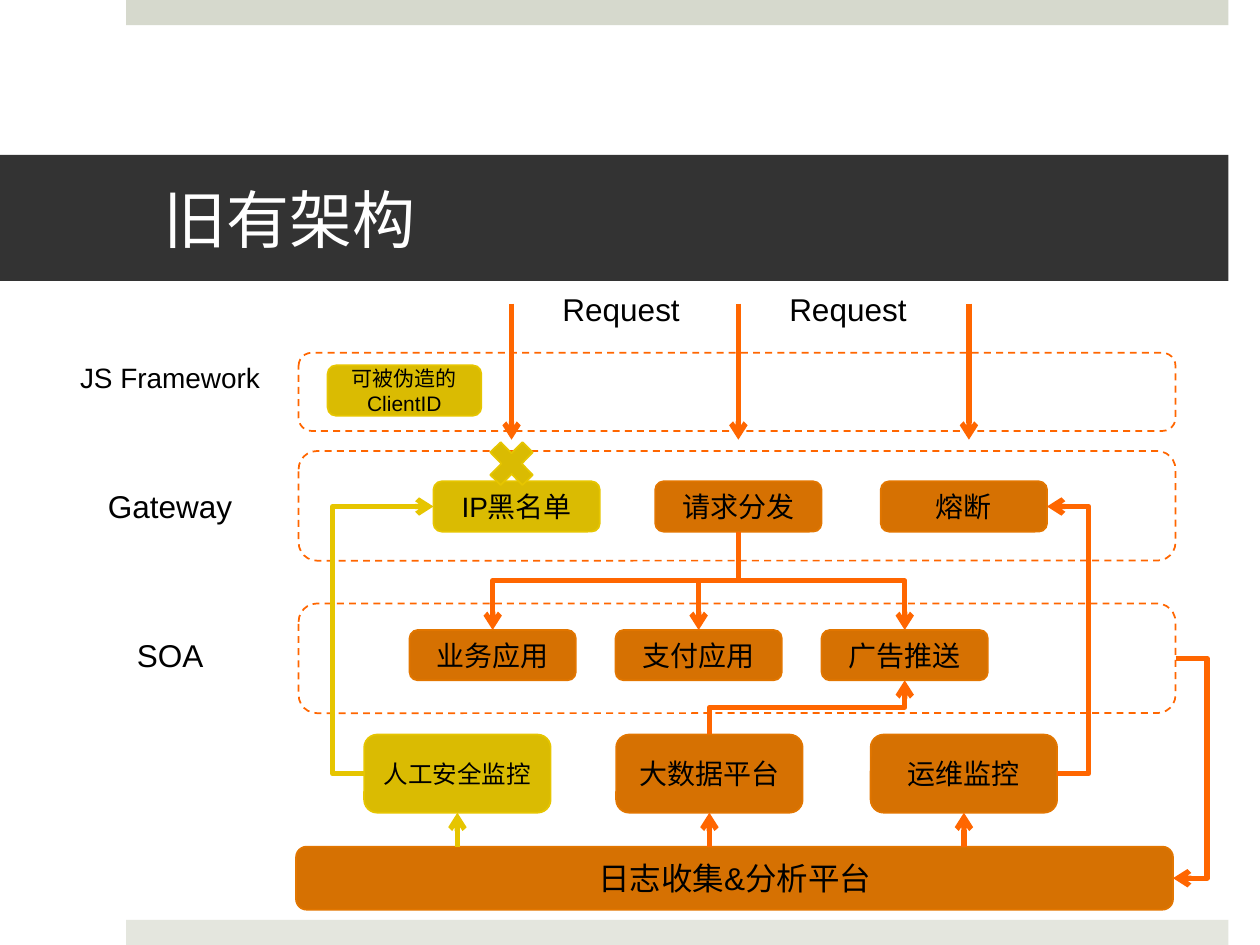
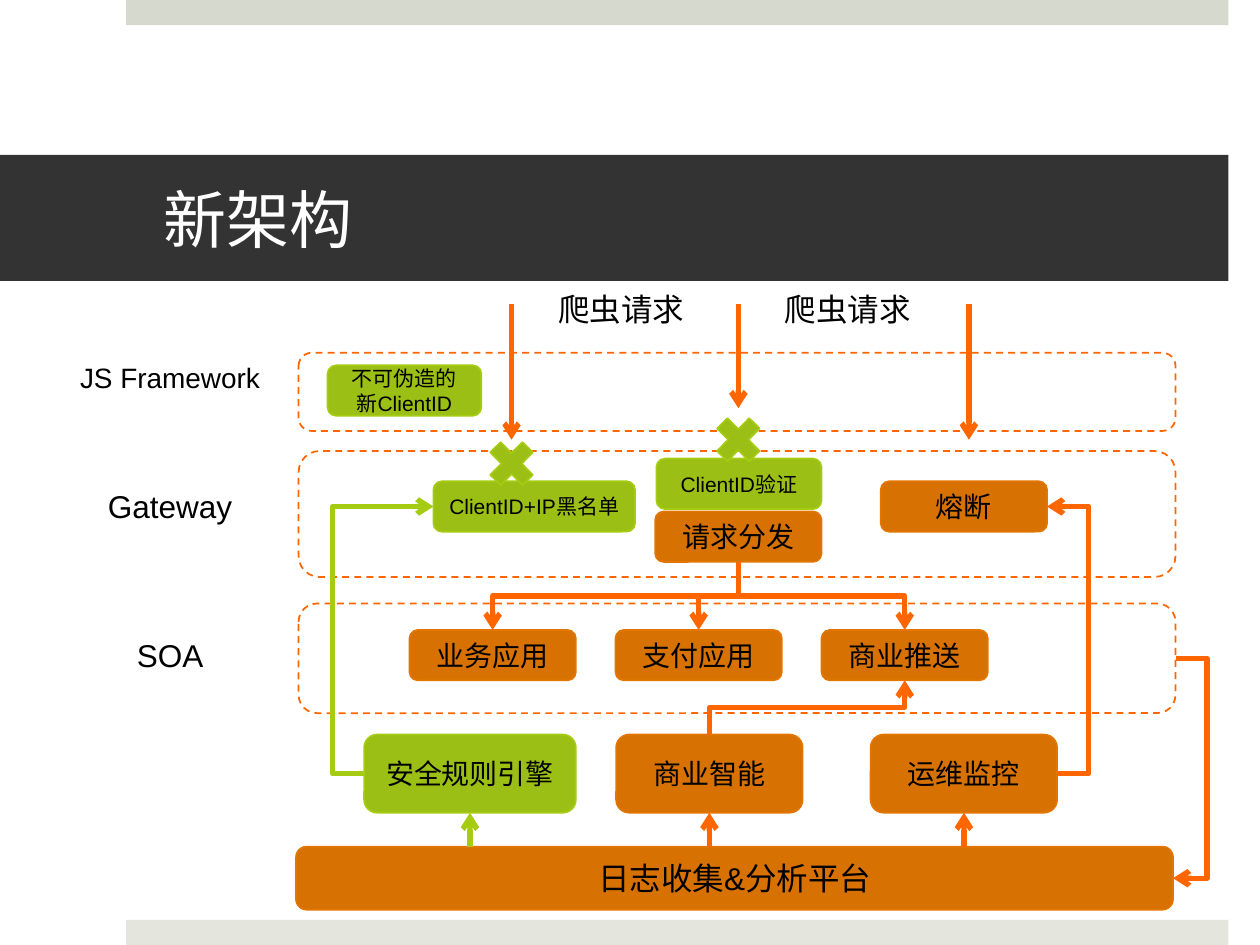
from pptx import Presentation, util as u
from pptx.dml.color import RGBColor
from pptx.enum import dml, shapes, text
from pptx.oxml.ns import qn
from lxml import etree

COL = {"dark": "333333", "top": "D6D9CD", "foot": "E4E6DE", "ink": "000000",
       "white": "FFFFFF", "flow": "FF6600"}
# Box fill, box outline, arrow colour
TONE = {"base": ("D67102", "E27600", "FF6600"),
        "old": ("DABB02", "E6C500", "E6C500"),
        "new": ("9BBF15", "A5CC12", "A5CC12")}
FONT = "Arial"
ROW_X, ROW_W = 2.37, 6.96
FLOW_X = (4.06, 5.86, 7.69)
KIND = shapes.MSO_SHAPE


def rgb(code):
    return RGBColor.from_string(code)


def inch(*nums):
    return [u.Inches(n) for n in nums]


def apply(obj, vals):
    for key, val in vals.items():
        setattr(obj, key, val)


def write(shape, words, size, color="ink", align=text.PP_ALIGN.CENTER, **frame):
    tf = shape.text_frame
    apply(tf, {"word_wrap": True, **frame})
    para = tf.paragraphs[0]
    para.alignment = align
    run = para.add_run()
    run.text = words
    apply(run.font, {"name": FONT, "size": u.Pt(size)})
    run.font.color.rgb = rgb(COL[color])


def draw(slide, box, kind=KIND.ROUNDED_RECTANGLE, fill=None, line=None, dash=False):
    shape = slide.shapes.add_shape(kind, *inch(*box))
    shape.shadow.inherit = False
    if fill:
        shape.fill.solid()
        shape.fill.fore_color.rgb = rgb(fill)
    else:
        shape.fill.background()
    if line:
        shape.line.color.rgb = rgb(line)
        shape.line.width = u.Pt(1)
        if dash:
            shape.line.dash_style = dml.MSO_LINE.DASH
    else:
        shape.line.fill.background()
    return shape


def node(slide, box, words, size=16, tone="base"):
    shape = draw(slide, box, fill=TONE[tone][0], line=TONE[tone][1])
    write(shape, words, size, vertical_anchor=text.MSO_ANCHOR.MIDDLE)
    return shape


def cross(slide, mid, top, tone):
    draw(slide, (mid - 0.245, top, 0.49, 0.5), KIND.MATH_MULTIPLY, *TONE[tone][:2])


def label(slide, box, words, size=18):
    write(slide.shapes.add_textbox(*inch(*box)), words, size)


def row(slide, box):
    draw(slide, box, line=COL["flow"], dash=True)


def style(wire, tone):
    wire.line.color.rgb = rgb(TONE[tone][2])
    wire.line.width = u.Pt(3)
    line = wire.line._get_or_add_ln()
    etree.SubElement(line, qn("a:tailEnd"), type="arrow")
    etree.SubElement(wire._element.spPr, qn("a:effectLst"))


def arrow(slide, start, end, tone="base", goal=None):
    wire = slide.shapes.add_connector(shapes.MSO_CONNECTOR.STRAIGHT, *inch(*start, *end))
    if goal is not None:
        wire.end_connect(goal, 2)
    style(wire, tone)


def elbow(slide, src, out, dst, into, tone="base", lane=None):
    """Bent arrow between two sides; lane is the x of its upright part."""
    wire = slide.shapes.add_connector(shapes.MSO_CONNECTOR.ELBOW, 0, 0, 0, 0)
    wire.begin_connect(src, out)
    wire.end_connect(dst, into)
    x1, y1, x2, y2 = wire.begin_x, wire.begin_y, wire.end_x, wire.end_y
    if lane is not None:
        share = round((u.Inches(lane) - x1) / (x2 - x1) * 100000)
        marks = wire._element.spPr.find(qn("a:prstGeom")).get_or_add_avLst()
        etree.SubElement(marks, qn("a:gd"), name="adj1", fmla=f"val {share}")
    else:
        # Upright ends: turn the frame by a quarter
        wide, high = abs(y2 - y1), abs(x2 - x1)
        apply(wire, {"left": (x1 + x2 - wide) // 2, "top": (y1 + y2 - high) // 2,
                     "width": wide, "height": high})
        right, up = x2 > x1, y2 < y1
        turn = 270 if right and not up else 90
        frame = wire._element.spPr.find(qn("a:xfrm"))
        for key, val in {"rot": turn * 60000, "flipH": int(up or turn == 270),
                         "flipV": int(up and right)}.items():
            frame.set(key, str(val))
    style(wire, tone)


def bands(deck, slide):
    """Top and bottom bands, kept on the master."""
    tree = deck.slide_master.shapes._spTree
    for y, name in ((0, "top"), (7.3, "foot")):
        band = draw(slide, (1, y, 8.75, 0.2), KIND.RECTANGLE, COL[name])
        tree.insert(2, band._element)


def head(slide, words):
    title = slide.shapes.title
    apply(title, dict(zip(("left", "top", "width", "height"), inch(0, 1.23, 9.75, 1))))
    title.fill.solid()
    title.fill.fore_color.rgb = rgb(COL["dark"])
    write(title, words, 36, "white", text.PP_ALIGN.LEFT,
          vertical_anchor=text.MSO_ANCHOR.MIDDLE, auto_size=text.MSO_AUTO_SIZE.NONE,
          margin_left=u.Inches(1.3), margin_right=u.Inches(0.3))


def client(slide, box, plan):
    """Script layer with the client ID."""
    x, y = box[:2]
    row(slide, box)
    label(slide, (0.48, y + 0.01, 1.74, 0.37), "JS Framework", 16)
    node(slide, (x + 0.23, y + 0.1, 1.22, 0.4), plan["id"], 12, plan["tone"])


def gate(slide, box, plan):
    """Gateway layer: blacklist, dispatch and breaker."""
    x, y = box[:2]
    tone, check = plan["tone"], plan["check"]
    row(slide, box)
    label(slide, (0.48, 3.82, 1.74, 0.4), "Gateway")
    words, wide, size = plan["block"]
    block = node(slide, (x + 1.07, y + 0.24, wide, 0.4), words, size, tone)
    send = node(slide, (x + 2.83, y + (0.48 if check else 0.24), 1.32, 0.4), "请求分发")
    fuse = node(slide, (x + 4.62, y + 0.24, 1.32, 0.4), "熔断")
    cross(slide, FLOW_X[0], y - 0.15, tone)
    if check:
        node(slide, (x + 2.84, y + 0.06, 1.31, 0.4), check, 12, tone)
        cross(slide, FLOW_X[1], y - 0.34, tone)
    return block, send, fuse


def apps(slide, box, plan):
    """Service layer with three applications."""
    x, y = box[:2]
    row(slide, box)
    label(slide, (0.48, y + 0.21, 1.74, 0.4), "SOA")
    names = ("业务应用", "支付应用", plan["push"])
    return [node(slide, (x + 0.88 + 1.635 * i, y + 0.21, 1.32, 0.4), name)
            for i, name in enumerate(names)]


def base(slide, box, plan):
    """Monitors fed by the log platform below them."""
    x, y, wide, high = box
    log = node(slide, (x, y + high - 0.5, wide, 0.5), "日志收集&分析平台", 18)
    words, span, size = plan["guard"]
    tools = []
    for dx, width, name, pt, tone in ((0.54, span, words, size, plan["tone"]),
                                      (2.54, 1.48, plan["data"], 16, "base"),
                                      (4.56, 1.48, "运维监控", 16, "base")):
        tool = node(slide, (x + dx, y, width, 0.62), name, pt, tone)
        mid = x + dx + width / 2
        arrow(slide, (mid, y + high - 0.5), (mid, y + 0.62), tone, tool)
        tools.append(tool)
    return log, tools


def calls(slide, box, plan):
    """Incoming requests."""
    top = box[1]
    for x, end in zip(FLOW_X, plan["ends"]):
        arrow(slide, (x, top + 0.16), (x, end))
    for x in FLOW_X[:2]:
        label(slide, (x, top, 1.74, 0.4), plan["call"])


def build(slide, plan):
    head(slide, plan["title"])
    client(slide, (ROW_X, 2.8, ROW_W, 0.62), plan)
    block, send, fuse = gate(slide, (ROW_X, 3.58, ROW_W, plan["high"]), plan)
    area = len(slide.shapes)
    soa = apps(slide, (ROW_X, 4.79, ROW_W, 0.87), plan)
    log, (guard, data, watch) = base(slide, (2.35, 5.83, ROW_W, 1.39), plan)
    # Links between layers
    elbow(slide, data, 0, soa[2], 2)
    elbow(slide, slide.shapes[area], 3, log, 3, lane=9.58)
    elbow(slide, guard, 1, block, 1, plan["tone"], 2.64)
    elbow(slide, watch, 3, fuse, 3, lane=8.64)
    for app in soa:
        elbow(slide, send, 2, app, 0)
    calls(slide, (ROW_X, 2.25, ROW_W, 1.24), plan)


PLANS = (
    {"title": "旧有架构", "tone": "old", "id": "可被伪造的ClientID", "high": 0.87,
     "block": ("IP黑名单", 1.32, 16), "check": None, "push": "广告推送",
     "guard": ("人工安全监控", 1.48, 14), "data": "大数据平台",
     "call": "Request", "ends": (3.49, 3.49, 3.49)},
    {"title": "新架构", "tone": "new", "id": "不可伪造的新ClientID", "high": 1,
     "block": ("ClientID+IP黑名单", 1.6, 12), "check": "ClientID验证", "push": "商业推送",
     "guard": ("安全规则引擎", 1.68, 16), "data": "商业智能",
     "call": "爬虫请求", "ends": (3.49, 3.24, 3.49)},
)


def main():
    deck = Presentation()
    deck.slide_width, deck.slide_height = inch(10, 7.5)
    for i, plan in enumerate(PLANS):
        slide = deck.slides.add_slide(deck.slide_layouts[5])
        if i == 0:
            bands(deck, slide)
        build(slide, plan)
    deck.save("out.pptx")


if __name__ == "__main__":
    main()
